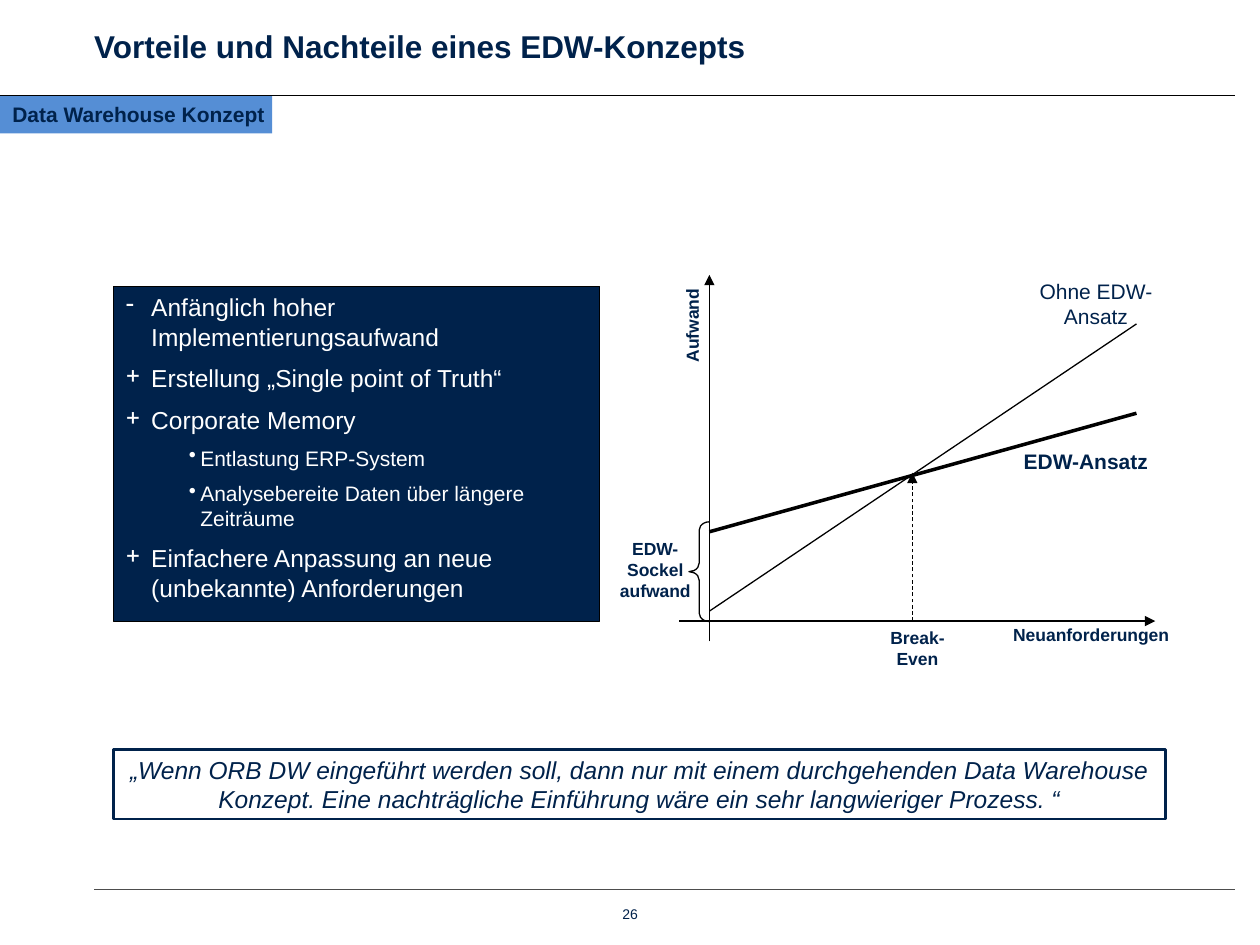
from copy import deepcopy
from typing import NamedTuple, Optional

from pptx import Presentation
from pptx.dml.color import RGBColor
from pptx.enum import dml, shapes, text
from pptx.oxml import ns, xmlchemy
from pptx.util import Cm, Pt

NAVY = RGBColor(0x00, 0x22, 0x4B)
BLUE = RGBColor(0x55, 0x8E, 0xD5)
GREY = RGBColor(0x4D, 0x4D, 0x4D)
BLACK = RGBColor(0x00, 0x00, 0x00)
WHITE = RGBColor(0xFF, 0xFF, 0xFF)

LEFT, CENTER = text.PP_ALIGN.LEFT, text.PP_ALIGN.CENTER
TOP, MIDDLE = text.MSO_ANCHOR.TOP, text.MSO_ANCHOR.MIDDLE

ORIGIN_X, ORIGIN_Y = 14.3, 12.52
LINES_END_X = 22.91
BREAK_EVEN_X = 18.39


class Box(NamedTuple):
    """Left, top, width and height in centimetres."""
    left: float
    top: float
    width: float
    height: float


class Line(NamedTuple):
    x1: float
    y1: float
    x2: float
    y2: float
    color: RGBColor = BLACK
    width: float = 0.75
    arrow: bool = False
    dashed: bool = False


class Label(NamedTuple):
    words: str
    box: Box
    size: float = 10
    bold: bool = True
    align: text.PP_ALIGN = CENTER
    anchor: text.MSO_ANCHOR = TOP
    wrap: bool = True
    rotation: float = 0


class Point(NamedTuple):
    bullet: str
    words: str
    level: int = 0


class LevelStyle(NamedTuple):
    size: float
    margin: float
    hanging: float


RULES = [
    Line(1.9, 17.93, 24.89, 17.93, GREY),
    Line(0, 1.93, 24.89, 1.93),
]
CHART_LINES = [
    Line(13.69, ORIGIN_Y, 23.29, ORIGIN_Y, arrow=True),
    Line(ORIGIN_X, 12.93, ORIGIN_X, 5.54, arrow=True),
    Line(ORIGIN_X, 10.72, LINES_END_X, 8.33, width=2),
    Line(ORIGIN_X, 12.32, LINES_END_X, 6.53),
    Line(BREAK_EVEN_X, ORIGIN_Y, BREAK_EVEN_X, 9.53, width=0.5, arrow=True, dashed=True),
]
LABELS = [
    Label("Vorteile und Nachteile eines EDW-Konzepts", Box(1.65, 0.13, 19.86, 1.6),
          size=18, align=LEFT, anchor=MIDDLE),
    Label("26", Box(11.51, 18.14, 2.39, 0.58), size=8, bold=False),
    Label("Ohne EDW-Ansatz", Box(20.7, 5.92, 2.79, 0.41),
          size=12, bold=False, anchor=MIDDLE, wrap=False),
    Label("EDW-Ansatz", Box(20.29, 8.92, 3.2, 0.76), size=12),
    Label("EDW-\vSockel\vaufwand", Box(11.51, 10.72, 3.4, 1.52)),
    Label("Break-Even", Box(17.3, ORIGIN_Y, 2.39, 1.09)),
    Label("Neuanforderungen", Box(20.09, 12.45, 3.81, 0.69)),
    Label("Aufwand", Box(12.19, 6.22, 3.53, 0.69), rotation=270),
]
LEVELS = [LevelStyle(14, 0.51, 0.51), LevelStyle(12, 1.5, 0.23)]
POINTS = [
    Point("-", "Anfänglich hoher Implementierungsaufwand"),
    Point("+", "Erstellung „Single point of Truth“"),
    Point("+", "Corporate Memory"),
    Point("•", "Entlastung ERP-System", level=1),
    Point("•", "Analysebereite Daten über längere Zeiträume", level=1),
    Point("+", "Einfachere Anpassung an neue (unbekannte) Anforderungen"),
]
QUOTE = ("„Wenn ORB DW eingeführt werden soll, dann nur mit einem durchgehenden "
         "Data Warehouse Konzept. Eine nachträgliche Einführung wäre ein sehr "
         "langwieriger Prozess. “")


def add_xml(parent, tag: str, **attributes: str):
    element = xmlchemy.OxmlElement(tag)
    for name, value in attributes.items():
        element.set(name, value)
    parent.append(element)
    return element


def write(paragraph, words: str, *, size: float, color: RGBColor = NAVY, bold: bool = False,
          italic: bool = False, align: text.PP_ALIGN = LEFT) -> None:
    paragraph.text = words
    paragraph.alignment = align
    for run in paragraph.runs:
        run.font.name = "Arial"
        run.font.size = Pt(size)
        run.font.bold = bold
        run.font.italic = italic
        run.font.color.rgb = color
    for line_break in paragraph._p.findall(ns.qn("a:br")):
        line_break.append(deepcopy(paragraph.runs[0]._r.rPr))


def add_line(slide, line: Line) -> None:
    connector = slide.shapes.add_connector(
        shapes.MSO_CONNECTOR.STRAIGHT,
        Cm(line.x1), Cm(line.y1), Cm(line.x2), Cm(line.y2))
    connector.line.color.rgb = line.color
    connector.line.width = Pt(line.width)
    if line.dashed:
        connector.line.dash_style = dml.MSO_LINE.DASH
    if line.arrow:
        add_xml(connector.line._get_or_add_ln(), "a:tailEnd", type="triangle")
    add_xml(connector._element.spPr, "a:effectLst")


def add_shape(slide, kind: shapes.MSO_SHAPE, box: Box, *, fill: Optional[RGBColor] = None,
              line: Optional[RGBColor] = None, line_width: float = 0.75):
    shape = slide.shapes.add_shape(kind, *map(Cm, box))
    shape.shadow.inherit = False
    if fill is None:
        shape.fill.background()
    else:
        shape.fill.solid()
        shape.fill.fore_color.rgb = fill
    if line is None:
        shape.line.fill.background()
    else:
        shape.line.color.rgb = line
        shape.line.width = Pt(line_width)
    return shape


def add_label(slide, label: Label) -> None:
    shape = slide.shapes.add_textbox(*map(Cm, label.box))
    shape.rotation = label.rotation
    frame = shape.text_frame
    frame.word_wrap = label.wrap
    frame.vertical_anchor = label.anchor
    write(frame.paragraphs[0], label.words, size=label.size, bold=label.bold, align=label.align)


def add_points(frame, points: list[Point]) -> None:
    """Fill the frame with hanging, bulleted paragraphs."""
    frame.vertical_anchor = TOP
    for index, point in enumerate(points):
        style = LEVELS[point.level]
        paragraph = frame.add_paragraph() if index else frame.paragraphs[0]
        write(paragraph, point.words, size=style.size, color=WHITE)
        paragraph.level = point.level
        paragraph.space_before = Pt(style.size / 2 if index else 0)
        properties = paragraph._p.get_or_add_pPr()
        properties.set("marL", str(Cm(style.margin)))
        properties.set("indent", str(-Cm(style.hanging)))
        add_xml(properties, "a:buChar", char=point.bullet)


def main() -> None:
    presentation = Presentation()
    presentation.slide_width = Cm(25.4)
    presentation.slide_height = Cm(19.05)
    slide = presentation.slides.add_slide(presentation.slide_layouts[6])
    rectangle = shapes.MSO_SHAPE.RECTANGLE

    section = add_shape(slide, rectangle, Box(0, 1.93, 5.49, 0.76), fill=BLUE)
    section.text_frame.word_wrap = False
    write(section.text_frame.paragraphs[0], "Data Warehouse Konzept", size=12, bold=True)

    for line in RULES + CHART_LINES:
        add_line(slide, line)
    brace = add_shape(slide, shapes.MSO_SHAPE.LEFT_BRACE, Box(13.89, 10.52, 0.41, 2.01), line=BLACK)
    brace.adjustments[0] = 0.42
    for label in LABELS:
        add_label(slide, label)

    panel = add_shape(slide, rectangle, Box(2.29, 5.77, 9.8, 6.76), fill=NAVY, line=BLACK)
    add_points(panel.text_frame, POINTS)
    quote = add_shape(slide, rectangle, Box(2.29, 15.11, 21.21, 1.4), line=NAVY, line_width=1.5)
    write(quote.text_frame.paragraphs[0], QUOTE, size=14, italic=True, align=CENTER)

    presentation.save("out.pptx")


if __name__ == "__main__":
    main()
